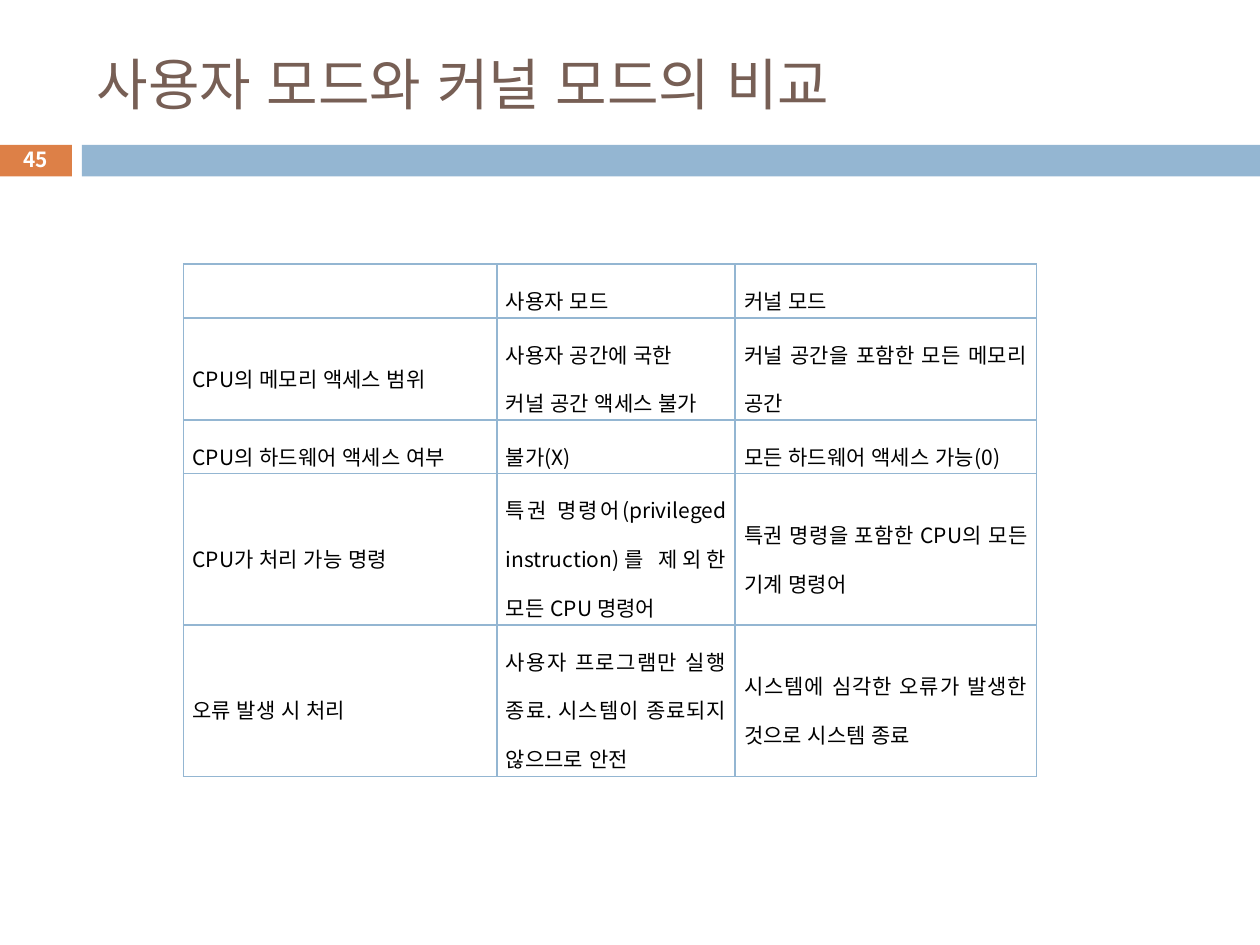
import pptx
import pptx.dml.color
import pptx.enum.lang
import pptx.enum.shapes
import pptx.enum.text
import pptx.oxml
import pptx.oxml.ns
import pptx.util

Cm = pptx.util.Cm
ALIGN = pptx.enum.text.PP_ALIGN
FONT = "Noto Sans CJK KR"
BLUE, ORANGE, BROWN = "94B6D2", "DD8047", "775F55"

COLUMN_WIDTHS = [6.32, 4.8, 6.07]
ROW_HEIGHTS = [1.09, 2.06, 1.08, 3.05, 3.05]
COMPARISON = [
    ["", "사용자 모드", "커널 모드"],
    ["CPU의 메모리 액세스 범위", "사용자 공간에 국한\n커널 공간 액세스 불가",
     "커널 공간을 포함한 모든 메모리 공간"],
    ["CPU의 하드웨어 액세스 여부", "불가(X)", "모든 하드웨어 액세스 가능(0)"],
    ["CPU가 처리 가능 명령",
     "특권 명령어(privileged instruction)를 제외한 모든 CPU 명령어",
     "특권 명령을 포함한 CPU의 모든 기계 명령어"],
    ["오류 발생 시 처리",
     "사용자 프로그램만 실행 종료. 시스템이 종료되지 않으므로 안전",
     "시스템에 심각한 오류가 발생한 것으로 시스템 종료"],
]


def color(hex_code):
    """Turn a hex string into a colour."""
    return pptx.dml.color.RGBColor.from_string(hex_code)


def style_text(frame, size, hex_code, align, bold=False, spacing=None):
    """Format every paragraph and run of a text frame."""
    for paragraph in frame.paragraphs:
        paragraph.alignment = align
        paragraph.line_spacing = spacing
        for run in paragraph.runs:
            run.font.size = pptx.util.Pt(size)
            run.font.bold = bold
            run.font.color.rgb = color(hex_code)
            run.font.name = FONT
            run.font.language_id = pptx.enum.lang.MSO_LANGUAGE_ID.KOREAN
            latin = run.font._element.find(pptx.oxml.ns.qn("a:latin"))
            latin.addnext(pptx.oxml.parse_xml(
                f'<a:ea {pptx.oxml.ns.nsdecls("a")} typeface="{FONT}"/>'))


def add_bar(slide, left, top, width, height, hex_code):
    """Draw a plain filled rectangle."""
    bar = slide.shapes.add_shape(
        pptx.enum.shapes.MSO_SHAPE.RECTANGLE,
        Cm(left), Cm(top), Cm(width), Cm(height))
    bar.shadow.inherit = False
    bar.fill.solid()
    bar.fill.fore_color.rgb = color(hex_code)
    bar.line.fill.background()


def add_label(slide, left, top, width, height, text, **style):
    """Place a vertically centred, wrapping text box."""
    label = slide.shapes.add_textbox(Cm(left), Cm(top), Cm(width), Cm(height))
    frame = label.text_frame
    frame.word_wrap = True
    frame.vertical_anchor = pptx.enum.text.MSO_ANCHOR.MIDDLE
    frame.text = text
    style_text(frame, **style)
    return frame


def add_header(slide, left, top, width, title, number):
    """Place the title over a band that starts with the slide number."""
    number_width, band_left, band_top, band_height = 1.47, 1.67, 2.29, 0.64
    add_bar(slide, left, top + band_top, number_width, band_height, ORANGE)
    add_bar(slide, left + band_left, top + band_top,
            width - band_left, band_height, BLUE)
    add_label(slide, left + 1.72, top, 22.66, 2.08, title,
              size=32, hex_code=BROWN, align=ALIGN.LEFT)
    page = add_label(slide, left, top + band_top - 0.05, number_width, 0.69,
                     number, size=11.9, hex_code="FFFFFF",
                     align=ALIGN.CENTER, bold=True)
    page.margin_top = page.margin_bottom = 0


def add_borders(cell, hex_code, points):
    """Draw a line on all four sides of a cell."""
    properties = cell._tc.get_or_add_tcPr()
    for position, side in enumerate("LRTB"):
        properties.insert(position, pptx.oxml.parse_xml(
            f'<a:ln{side} {pptx.oxml.ns.nsdecls("a")} '
            f'w="{pptx.util.Pt(points)}"><a:solidFill>'
            f'<a:srgbClr val="{hex_code}"/></a:solidFill></a:ln{side}>'))


def fill_cell(cell, text):
    """Write and format one cell of the comparison."""
    cell.fill.background()
    add_borders(cell, BLUE, 1)
    cell.margin_left = cell.margin_right = Cm(0.18)
    cell.margin_top = cell.margin_bottom = Cm(0.05)
    cell.vertical_anchor = pptx.enum.text.MSO_ANCHOR.MIDDLE
    cell.text_frame.text = text
    style_text(cell.text_frame, 12, "000000", ALIGN.JUSTIFY, spacing=1.6)


def add_comparison(slide, left, top):
    """Build the table comparing the two modes."""
    comparison = slide.shapes.add_table(
        len(ROW_HEIGHTS), len(COLUMN_WIDTHS), Cm(left), Cm(top),
        Cm(sum(COLUMN_WIDTHS)), Cm(sum(ROW_HEIGHTS))).table
    comparison.first_row = comparison.horz_banding = False
    for column, width in zip(comparison.columns, COLUMN_WIDTHS):
        column.width = Cm(width)
    for row, height, texts in zip(comparison.rows, ROW_HEIGHTS, COMPARISON):
        row.height = Cm(height)
        for cell, text in zip(row.cells, texts):
            fill_cell(cell, text)


def main():
    """Build and save the slide."""
    deck = pptx.Presentation()
    deck.slide_width, deck.slide_height = Cm(25.4), Cm(19.05)
    slide = deck.slides.add_slide(deck.slide_layouts[6])
    add_header(slide, -0.02, 0.63, 25.42, "사용자 모드와 커널 모드의 비교", "45")
    add_comparison(slide, 3.7, 5.32)
    deck.save("out.pptx")


main()
